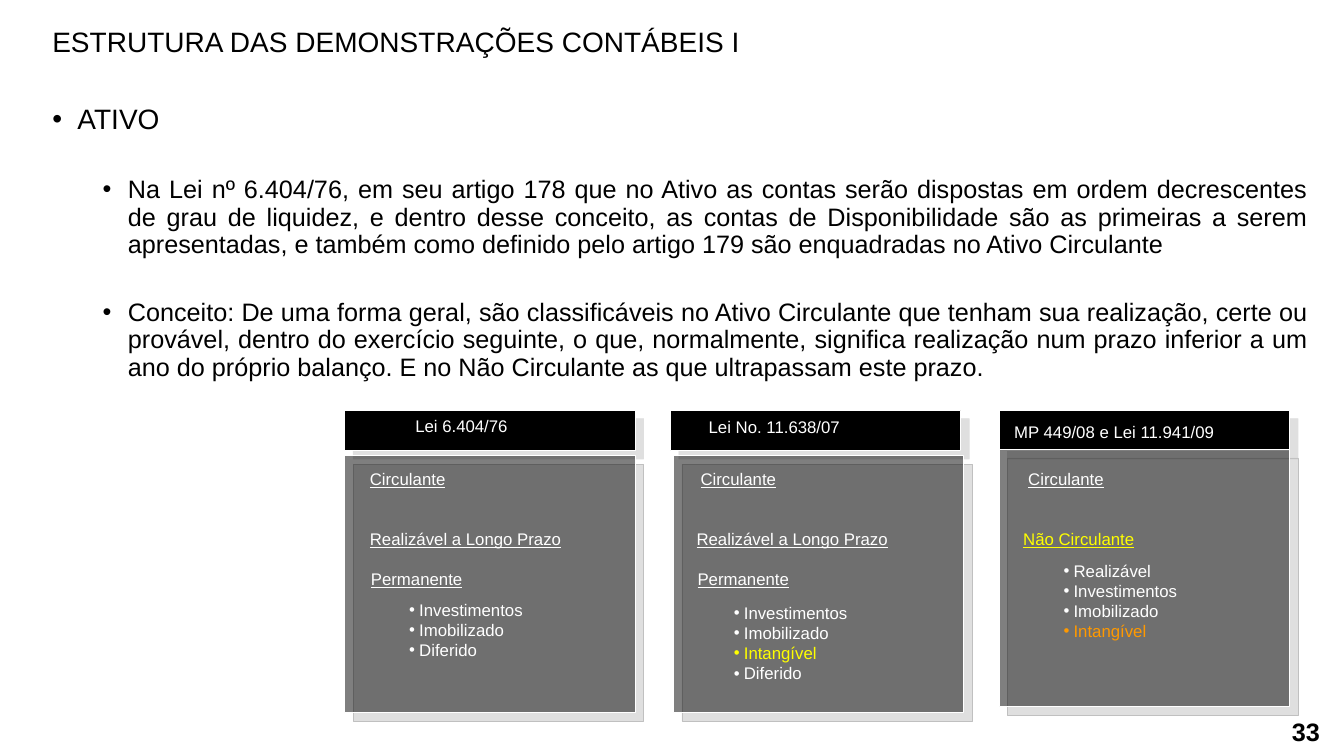
from pptx import Presentation
from pptx import util as u
from pptx.dml.color import RGBColor
from pptx.enum import shapes, text
from pptx.oxml import parse_xml
from pptx.oxml.ns import nsdecls, qn
from lxml import etree

WHITE, BLACK, YELLOW, ORANGE = "FFFFFF", "000000", "FFFF00", "FF9900"
PANEL_WIDTH, HEADER_HEIGHT, BODY_HEIGHT = 2.88, 0.4, 2.55


def color(value):
    return RGBColor.from_string(value)


def add_bullet(para, margin, hanging):
    props = para._p.get_or_add_pPr()
    props.set("marL", str(u.Inches(margin)))
    props.set("indent", str(-u.Inches(hanging)))
    etree.SubElement(props, qn("a:buFont")).set("typeface", "Arial")
    etree.SubElement(props, qn("a:buChar")).set("char", "•")


def add_span(para, words, size=12, ink=WHITE, bold=False, underline=False):
    span = para.add_run()
    span.text = words
    font = span.font
    font.name, font.size, font.color.rgb = "Arial", u.Pt(size), color(ink)
    font.bold, font.underline = bold, underline


def add_frame(page, left, top, width, height, wrap=False):
    box = page.shapes.add_textbox(*map(u.Inches, (left, top, width, height)))
    frame = box.text_frame
    frame.word_wrap = wrap
    frame.auto_size = (text.MSO_AUTO_SIZE.NONE if wrap
                       else text.MSO_AUTO_SIZE.SHAPE_TO_FIT_TEXT)
    return frame


def add_label(page, words, left, top, width, height=0.3, **style):
    frame = add_frame(page, left, top, width, height)
    add_span(frame.paragraphs[0], words, **style)


def add_block(page, left, top, height, alpha=100):
    block = page.shapes.add_shape(
        shapes.MSO_SHAPE.RECTANGLE,
        *map(u.Inches, (left, top, PANEL_WIDTH, height)))
    block.fill.solid()
    block.fill.fore_color.rgb = color(BLACK)
    block.line.color.rgb = color(WHITE)
    block.line.width = u.Pt(0.5)
    if alpha < 100:
        fill = block._element.spPr.find(qn("a:solidFill"))
        etree.SubElement(fill[0], qn("a:alpha")).set("val", str(alpha * 1000))
    # Grey drop shadow, down and to the right
    block._element.spPr.append(parse_xml(
        f'<a:effectLst {nsdecls("a")}><a:outerShdw blurRad="0" '
        f'dist="{u.Pt(8.5)}" dir="2700000" algn="ctr" rotWithShape="0">'
        '<a:srgbClr val="C0C0C0"><a:alpha val="50000"/></a:srgbClr>'
        '</a:outerShdw></a:effectLst>'))


def add_items(page, items, left, top):
    frame = add_frame(page, left, top, 1.34, 0.11 + 0.2 * len(items))
    for index, (words, ink) in enumerate(items):
        para = frame.paragraphs[0] if index == 0 else frame.add_paragraph()
        add_bullet(para, 0.1, 0.1)
        add_span(para, words, ink=ink)


def add_panel(page, left, top, body, title, headings, items, items_at):
    """Offsets inside a panel are measured from its left and top."""
    add_block(page, left, top, HEADER_HEIGHT)
    add_block(page, left + body[0], top + body[1], BODY_HEIGHT, alpha=50)
    words, x, y, width = title
    add_label(page, words, left + x, top + y, width)
    for words, x, y, width, ink in headings:
        add_label(page, words, left + x, top + y, width, ink=ink, underline=True)
    add_items(page, items, left + items_at[0], top + items_at[1])


def add_body(page, left, top, width, height, heading, points):
    frame = add_frame(page, left, top, width, height, wrap=True)
    rows = [(heading, 0, 0.25, 20)] + [(point, 1, 0.75, 18) for point in points]
    for words, level, margin, size in rows:
        para = frame.add_paragraph() if level else frame.paragraphs[0]
        para.level = level
        para.alignment = text.PP_ALIGN.JUSTIFY
        para.line_spacing = 0.9
        para.space_before = u.Pt(29.4 if level else 0)
        add_bullet(para, margin, 0.25)
        add_span(para, words, size, BLACK)


def add_page_number(page, left, top, width, height, number):
    frame = add_frame(page, left, top, width, height, wrap=True)
    frame.vertical_anchor = text.MSO_ANCHOR.MIDDLE
    frame.paragraphs[0].alignment = text.PP_ALIGN.RIGHT
    add_span(frame.paragraphs[0], number, 18, BLACK, bold=True)


POINTS = [
    "Na Lei nº 6.404/76, em seu artigo 178 que no Ativo as contas serão "
    "dispostas em ordem decrescentes de grau de liquidez, e dentro desse "
    "conceito, as contas de Disponibilidade são as primeiras a serem "
    "apresentadas, e também como definido pelo artigo 179 são enquadradas "
    "no Ativo Circulante",
    "Conceito: De uma forma geral, são classificáveis no Ativo Circulante que "
    "tenham sua realização, certe ou provável, dentro do exercício seguinte, "
    "o que, normalmente, significa realização num prazo inferior a um ano do "
    "próprio balanço. E no Não Circulante as que ultrapassam este prazo.",
]

# left, body offset, title, headings, items, items offset
PANELS = [
    (3.42, (0, 0.45), ("Lei 6.404/76", 0.6, 0.01, 1.12),
     [("Circulante", 0.15, 0.53, 0.96, WHITE),
      ("Realizável a Longo Prazo", 0.15, 1.13, 2.11, WHITE),
      ("Permanente", 0.16, 1.52, 1.12, WHITE)],
     [("Investimentos", WHITE), ("Imobilizado", WHITE), ("Diferido", WHITE)],
     (0.54, 1.83)),
    (6.65, (0.03, 0.45), ("Lei No. 11.638/07", 0.28, 0.02, 1.51),
     [("Circulante", 0.2, 0.53, 0.96, WHITE),
      ("Realizável a Longo Prazo", 0.16, 1.13, 2.11, WHITE),
      ("Permanente", 0.17, 1.52, 1.12, WHITE)],
     [("Investimentos", WHITE), ("Imobilizado", WHITE),
      ("Intangível", YELLOW), ("Diferido", WHITE)],
     (0.53, 1.86)),
    (9.91, (0, 0.39), ("MP 449/08 e Lei 11.941/09", 0.05, 0.06, 2.2),
     [("Circulante", 0.19, 0.53, 0.96, WHITE),
      ("Não Circulante", 0.14, 1.13, 1.31, YELLOW)],
     [("Realizável", WHITE), ("Investimentos", WHITE),
      ("Imobilizado", WHITE), ("Intangível", ORANGE)],
     (0.54, 1.44)),
]


def main():
    deck = Presentation()
    deck.slide_width, deck.slide_height = u.Inches(13.33), u.Inches(7.5)
    page = deck.slides.add_slide(deck.slide_layouts[6])

    # Title and explanation
    add_label(page, "ESTRUTURA DAS DEMONSTRAÇÕES CONTÁBEIS I",
              0.42, 0.19, 7.75, 0.44, size=20, ink=BLACK)
    add_body(page, 0.42, 1, 12.65, 5.76, "ATIVO", POINTS)
    add_page_number(page, 10.19, 7.06, 3, 0.4, "33")

    # Comparison of the three laws
    for left, *parts in PANELS:
        add_panel(page, left, 4.07, *parts)

    deck.save("out.pptx")


if __name__ == "__main__":
    main()
